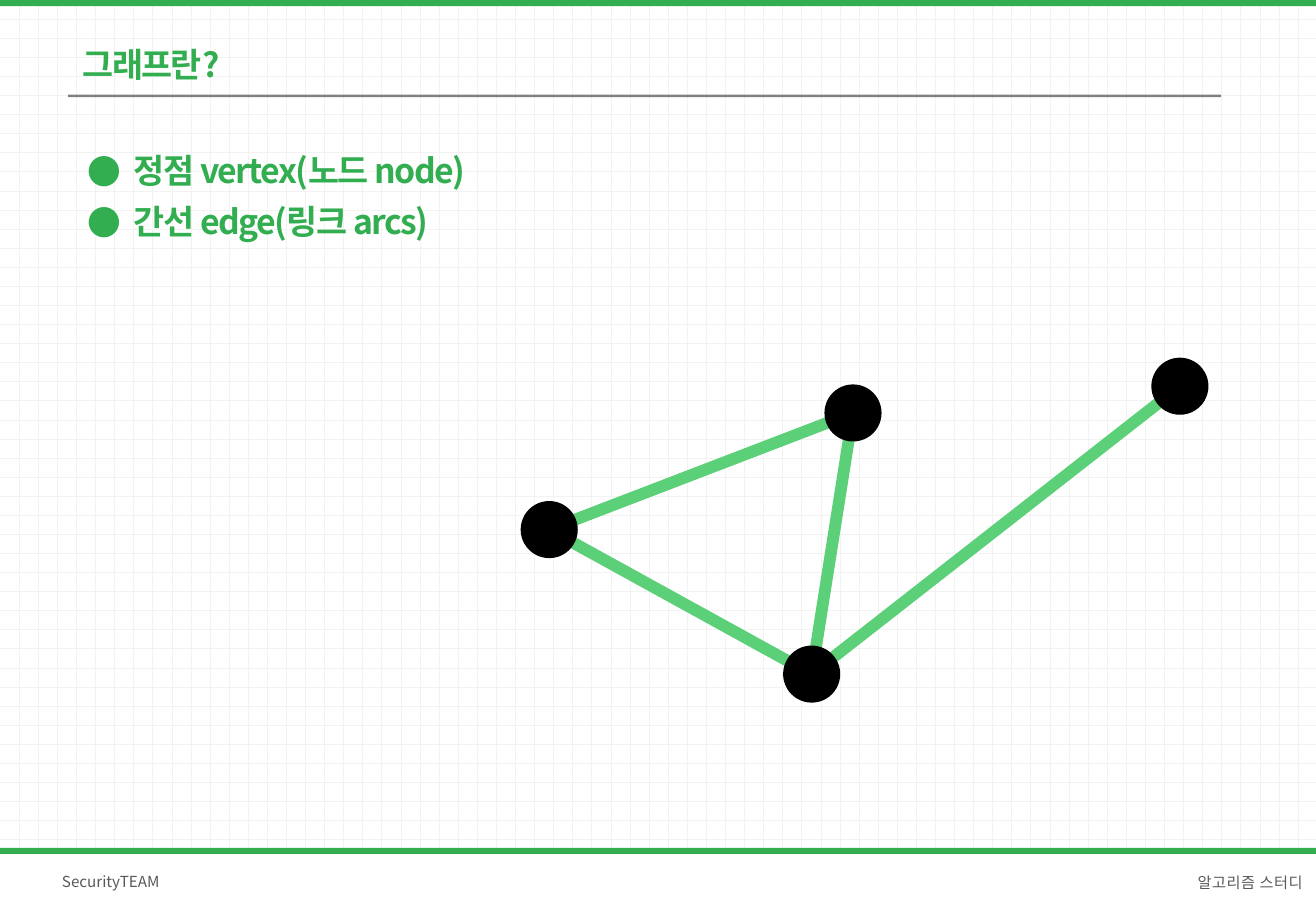
from pptx import Presentation
from pptx.dml.color import RGBColor as RGB
from pptx.enum.dml import MSO_PATTERN as PATTERN
from pptx.enum.shapes import MSO_CONNECTOR as CONN, MSO_SHAPE as SHAPE
from pptx.enum.text import MSO_ANCHOR as ANCHOR, MSO_AUTO_SIZE as AUTO, PP_ALIGN as ALIGN
from pptx.oxml.ns import qn
from pptx.util import Inches, Pt
from lxml.etree import SubElement

COLORS = {"green": "32AE51", "edge": "5BD078", "rule": "808080", "node": "000000",
          "white": "FFFFFF", "grid": "F2F2F2", "footer": "595959"}
FONT = "Noto Sans CJK KR"
HEADING = {"size": Pt(20), "bold": True}
FOOTER = {"size": Pt(9)}


def color(name):
    return RGB.from_string(COLORS[name])


class SlideBuilder:
    def __init__(self, prs):
        self.s = prs.slides.add_slide(prs.slide_layouts[6])

    def background(self, fore, back):
        fill = self.s.background.fill
        fill.patterned()
        fill.pattern = PATTERN.DOTTED_GRID
        fill.fore_color.rgb = color(fore)
        fill.back_color.rgb = color(back)

    def shape(self, kind, x, y, w, h, fill):
        sp = self.s.shapes.add_shape(kind, *map(Inches, (x, y, w, h)))
        sp.shadow.inherit = False
        sp.fill.solid()
        sp.fill.fore_color.rgb = color(fill)
        sp.line.fill.background()

    def edge(self, start, end):
        line = self.s.shapes.add_connector(CONN.STRAIGHT, *map(Inches, (*start, *end)))
        line.line.color.rgb = color("edge")
        line.line.width = Pt(7)
        SubElement(line._element.spPr, qn("a:effectLst"))

    def text(self, text, x, y, w, h, font, fill, frame=None, para=None,
             spacing=0, bullet=None):
        tf = self.s.shapes.add_textbox(*map(Inches, (x, y, w, h))).text_frame
        margins = {"margin_left": Inches(0.12), "margin_right": Inches(0.12),
                   "margin_top": Inches(0.06), "margin_bottom": Inches(0.06)}
        for name, value in {"word_wrap": True, **margins, **(frame or {})}.items():
            setattr(tf, name, value)
        p = tf.paragraphs[0]
        for name, value in (para or {}).items():
            setattr(p, name, value)
        if bullet:
            pPr = p._p.get_or_add_pPr()
            pPr.set("marL", str(Inches(0.38)))
            pPr.set("indent", str(-Inches(0.38)))
            SubElement(pPr, qn("a:buFont"), typeface=FONT)
            SubElement(pPr, qn("a:buChar"), char=bullet)
        r = p.add_run()
        r.text = text
        for name, value in {"name": FONT, **font}.items():
            setattr(r.font, name, value)
        r.font.color.rgb = color(fill)
        rPr = r._r.get_or_add_rPr()
        rPr.set("spc", str(round(spacing * 100)))
        SubElement(rPr, qn("a:ea"), typeface=FONT)

    def heading(self, text, x, y, h, line_spacing, bullet=None):
        self.text(text, x, y, 5.13, h, HEADING, "green",
                  {"auto_size": AUTO.SHAPE_TO_FIT_TEXT},
                  {"line_spacing": line_spacing}, -1, bullet)


def main():
    prs = Presentation()
    prs.slide_width, prs.slide_height = Inches(10.83), Inches(7.5)
    slide = SlideBuilder(prs)
    slide.background("grid", "white")

    # Title and frame bars
    slide.heading("그래프란?", 0.56, -0.03, 0.68, 2.0)
    slide.shape(SHAPE.RECTANGLE, 0, 0, 10.83, 0.05, "green")
    slide.shape(SHAPE.ROUNDED_RECTANGLE, 0.56, 0.78, 9.49, 0.02, "rule")
    slide.shape(SHAPE.RECTANGLE, 0, 6.98, 10.83, 0.52, "white")
    slide.shape(SHAPE.RECTANGLE, 0, 6.98, 10.83, 0.05, "green")

    # Footer
    middle = {"vertical_anchor": ANCHOR.MIDDLE}
    slide.text("SecurityTEAM", 0.39, 7.02, 1.97, 0.47, FOOTER, "footer", middle)
    slide.text("알고리즘 스터디", 8.38, 7.06, 2.46, 0.37, FOOTER, "footer", middle,
               {"alignment": ALIGN.RIGHT, "line_spacing": 1.3}, 0.3)

    # Definitions
    slide.heading("정점 vertex(노드 node)", 0.6, 0.84, 0.69, 2.0, "●")
    slide.heading("간선 edge(링크 arcs)", 0.6, 1.59, 0.46, 1.0, "●")

    # Graph: edges run between node centres, nodes lie on top
    nodes = {"top": (7.02, 3.4), "left": (4.52, 4.36),
             "bottom": (6.68, 5.55), "right": (9.71, 3.18)}
    edges = [("top", "left"), ("bottom", "left"), ("top", "bottom"), ("right", "bottom")]
    size = 0.47
    for start, end in edges:
        slide.edge(nodes[start], nodes[end])
    for x, y in nodes.values():
        slide.shape(SHAPE.FLOWCHART_CONNECTOR, x - size / 2, y - size / 2,
                    size, size, "node")

    prs.save("out.pptx")


if __name__ == "__main__":
    main()
